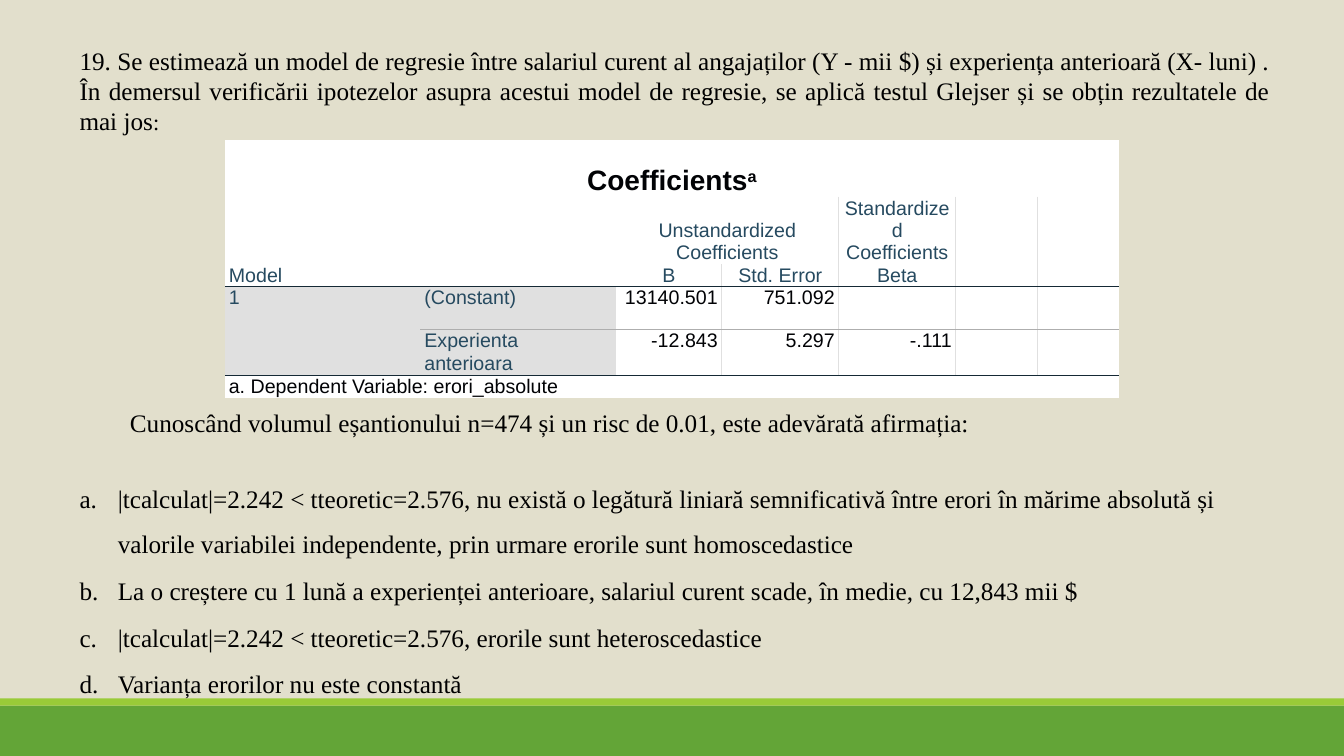
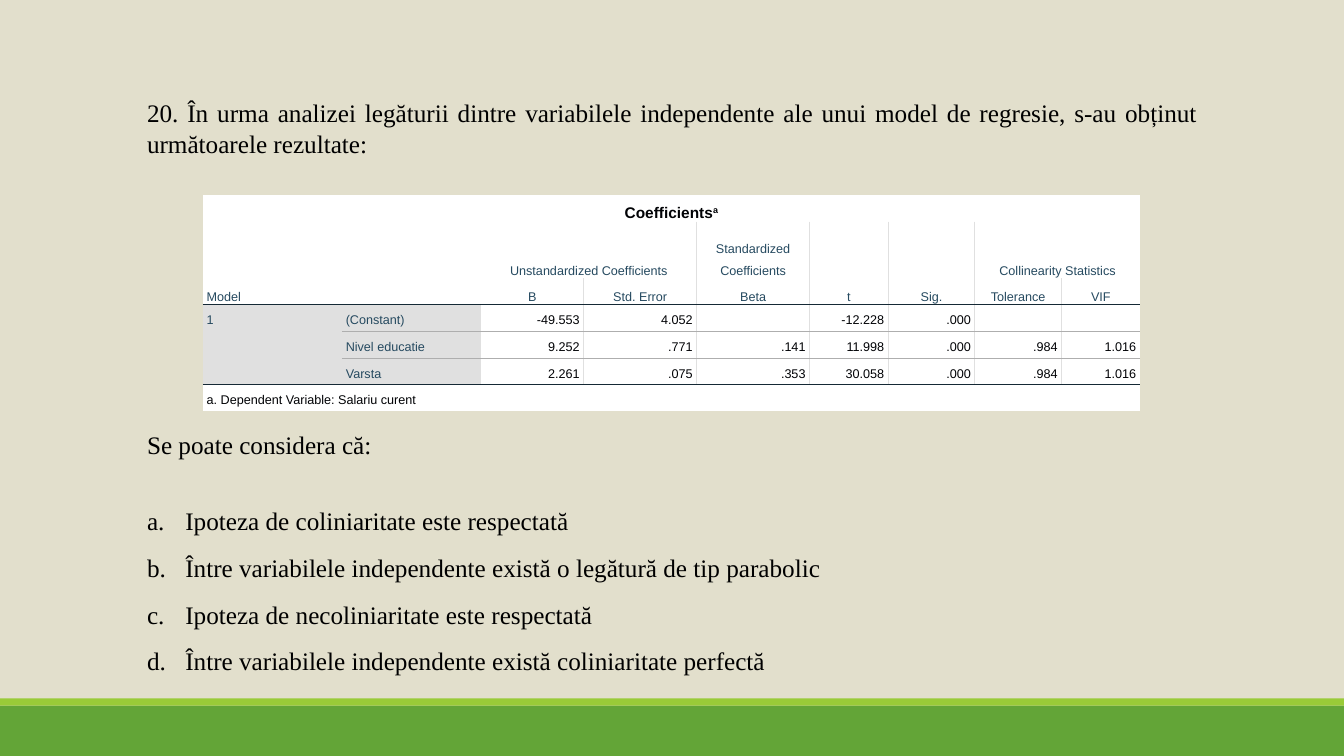
"""Builds two quiz slides on regression tests, each with a table of coefficients."""
from pptx import Presentation
from pptx.dml.color import RGBColor as Rgb
from pptx.enum.shapes import MSO_SHAPE as Shape
from pptx.enum.text import MSO_ANCHOR as Anchor, MSO_AUTO_SIZE as Fit, PP_ALIGN as Align
from pptx.oxml.xmlchemy import OxmlElement as Xml
from pptx.util import Pt

PX = 9144
WIDE, HIGH = 1333, 750
THEME = {
    "back": "E2DFCC", "black": "000000", "ink": "010205", "label": "264A60",
    "white": "FFFFFF", "shade": "E0E0E0", "grid": "E0E0E0", "rule": "AEAEAE", "dark": "152935",
    "serif": "Times New Roman", "sans": "Arial", "body": 18, "small": 16,
}
BANDS = [(700, 50, "63A537"), (693, 7, "99CB38")]
HEADS = 3

SLIDES = [
    {
        "box": (69, 40, 1201, 660),
        "intro": [
            ("19. Se estimează un model de regresie între salariul curent al angajaților (Y - mii $) și "
             "experiența anterioară (X- luni) . În demersul verificării ipotezelor asupra acestui model "
             "de regresie, se aplică testul Glejser și se obțin rezultatele de mai jos", "body"),
            (":", "small"),
        ],
        "lead": "Cunoscând volumul eșantionului n=474 și un risc de 0.01, este adevărată afirmația:",
        "shift": 50,
        "options": [
            "|tcalculat|=2.242 < tteoretic=2.576, nu există o legătură liniară semnificativă între erori "
            "în mărime absolută și valorile variabilei independente, prin urmare erorile sunt homoscedastice",
            "La o creștere cu 1 lună a experienței anterioare, salariul curent scade, în medie, "
            "cu 12,843 mii $",
            "|tcalculat|=2.242 < tteoretic=2.576, erorile sunt heteroscedastice",
            "Varianța erorilor nu este constantă",
        ],
        "spot": (223, 139),
        "cols": [194, 194, 105, 116, 116, 81, 81],
        "rows": [56, 67, 22, 43, 45, 22],
        "sizes": (20, 14),
        "cells": [
            ["Coefficients"],
            ["Model", "", "Unstandardized Coefficients", "", "Standardized Coefficients"],
            ["", "", "B", "Std. Error", "Beta"],
            ["1", "(Constant)", "13140.501", "751.092"],
            ["", "Experienta anterioara", "-12.843", "5.297", "-.111"],
            ["a. Dependent Variable: erori_absolute"],
        ],
        "pairs": [2],
        "tall": [5, 6],
    },
    {
        "box": (136, 92, 1062, 584),
        "intro": [
            ("20. În urma analizei legăturii dintre variabilele independente ale unui model de regresie, "
             "s-au obținut următoarele rezultate:", "body"),
        ],
        "lead": "Se poate considera că:",
        "shift": 0,
        "options": [
            "Ipoteza de coliniaritate este respectată",
            "Între variabilele independente există o legătură de tip parabolic",
            "Ipoteza de necoliniaritate este respectată",
            "Între variabilele independente există coliniaritate perfectă",
        ],
        "spot": (201, 193),
        "cols": [138, 138, 102, 112, 112, 78, 86, 86, 78],
        "rows": [27, 56, 26, 27, 27, 26, 26],
        "sizes": (11, 9),
        "cells": [
            ["Coefficients"],
            ["Model", "", "Unstandardized Coefficients", "", "Standardized Coefficients", "t", "Sig.",
             "Collinearity Statistics"],
            ["", "", "B", "Std. Error", "Beta", "", "", "Tolerance", "VIF"],
            ["1", "(Constant)", "-49.553", "4.052", "", "-12.228", ".000"],
            ["", "Nivel educatie", "9.252", ".771", ".141", "11.998", ".000", ".984", "1.016"],
            ["", "Varsta", "2.261", ".075", ".353", "30.058", ".000", ".984", "1.016"],
            ["a. Dependent Variable: Salariu curent"],
        ],
        "pairs": [2, 7],
        "tall": [5, 6],
    },
]


def put(item, **values):
    for name, value in values.items():
        setattr(item, name, value)


def paint(fill, color):
    fill.solid()
    fill.fore_color.rgb = Rgb.from_string(color)


def write(para, text, size, color, face, bold=False):
    run = para.add_run()
    run.text = text
    put(run.font, size=Pt(size), name=face, bold=bold)
    run.font.color.rgb = Rgb.from_string(color)
    return run


def indent(para, left, hang=0):
    props = para._p.get_or_add_pPr()
    props.set("marL", str(left * PX))
    props.set("indent", str(hang * PX))
    return props


def add_bands(slide):
    paint(slide.background.fill, THEME["back"])
    for top, high, color in BANDS:
        band = slide.shapes.add_shape(Shape.RECTANGLE, 0, top * PX, WIDE * PX, high * PX)
        band.shadow.inherit = False
        paint(band.fill, color)
        band.line.fill.background()


def add_quiz(slide, data):
    frame = slide.shapes.add_textbox(*(n * PX for n in data["box"])).text_frame
    put(frame, word_wrap=True, auto_size=Fit.SHAPE_TO_FIT_TEXT)
    style = THEME["black"], THEME["serif"]
    intro = frame.paragraphs[0]
    intro.alignment = Align.JUSTIFY
    for text, size in data["intro"]:
        write(intro, text, THEME[size], *style)
    lead = frame.add_paragraph()
    indent(lead, data["shift"])
    put(lead, alignment=Align.JUSTIFY, space_before=Pt(194))
    write(lead, data["lead"], THEME["body"], *style)
    for n, text in enumerate(data["options"]):
        para = frame.add_paragraph()
        mark = Xml("a:buAutoNum")
        mark.set("type", "alphaLcPeriod")
        indent(para, 38, -38).append(mark)
        put(para, line_spacing=1.5, space_before=Pt(0 if n else 21.6), space_after=Pt(1))
        write(para, text, THEME["body"], *style)


def edge(cell, side, color):
    line = Xml("a:ln" + side)
    line.set("w", str(Pt(1)))
    if color:
        fill, tone = Xml("a:solidFill"), Xml("a:srgbClr")
        tone.set("val", color)
        fill.append(tone)
    else:
        fill = Xml("a:noFill")
    line.append(fill)
    cell._tc.get_or_add_tcPr().append(line)


def add_grid(slide, data):
    cols, rows = data["cols"], data["rows"]
    wide, last = len(cols), len(rows) - 1
    left, top = data["spot"]
    large, size = data["sizes"]
    table = slide.shapes.add_table(
        last + 1, wide, left * PX, top * PX, sum(cols) * PX, sum(rows) * PX).table
    put(table, first_row=False, horz_banding=False)
    for col, span in zip(table.columns, cols):
        col.width = span * PX
    for row, span in zip(table.rows, rows):
        row.height = span * PX
    areas = [(0, 0, 0, wide - 1), (1, 0, 2, 1), (HEADS, 0, last - 1, 0), (last, 0, last, wide - 1)]
    areas += [(1, c, 1, c + 1) for c in data["pairs"]] + [(1, c, 2, c) for c in data["tall"]]
    for r, c, end, edge_col in areas:
        table.cell(r, c).merge(table.cell(end, edge_col))

    def below(r, c):
        if r in (HEADS - 1, last - 1):
            return THEME["dark"]
        return THEME["rule"] if HEADS <= r < last and c else None

    def beside(r, c):
        return THEME["grid"] if 3 <= c < wide and 0 < r < last else None

    for r in range(last + 1):
        texts = data["cells"][r]
        for c in range(wide):
            cell = table.cell(r, c)
            body = HEADS <= r < last
            name = body and c < 2
            if not cell.is_spanned:
                down = cell.span_height if cell.is_merge_origin else 1
                over = cell.span_width if cell.is_merge_origin else 1
                for side, color in (("L", beside(r, c)), ("R", beside(r, c + over)),
                                    ("T", below(r - 1, c)), ("B", below(r + down - 1, c))):
                    edge(cell, side, color)
            paint(cell.fill, THEME["shade" if name else "white"])
            put(cell, margin_left=4 * PX, margin_right=4 * PX, margin_top=0, margin_bottom=0,
                vertical_anchor=Anchor.BOTTOM if r < HEADS else Anchor.TOP)
            para = cell.text_frame.paragraphs[0]
            align = Align.LEFT
            if r == 0 or (r < HEADS and c > 1):
                align = Align.CENTER
            elif body and not name:
                align = Align.RIGHT
            put(para, alignment=align, line_spacing=Pt(16), space_after=Pt(8))
            text = texts[c] if c < len(texts) else ""
            if text:
                tone = THEME["label" if name or 0 < r < HEADS else "ink"]
                style = (size if r else large), tone, THEME["sans"], r == 0
                write(para, text, *style)
                if r == 0:
                    write(para, "a", *style)._r.get_or_add_rPr().set("baseline", "30000")
            else:
                tail = Xml("a:endParaRPr")
                tail.set("sz", str(size * 100))
                para._p.append(tail)


def main():
    deck = Presentation()
    put(deck, slide_width=WIDE * PX, slide_height=HIGH * PX)
    for data in SLIDES:
        slide = deck.slides.add_slide(deck.slide_layouts[6])
        for add in (add_quiz, add_grid):
            if add is add_quiz:
                add_bands(slide)
            add(slide, data)
    deck.save("out.pptx")


if __name__ == "__main__":
    main()
